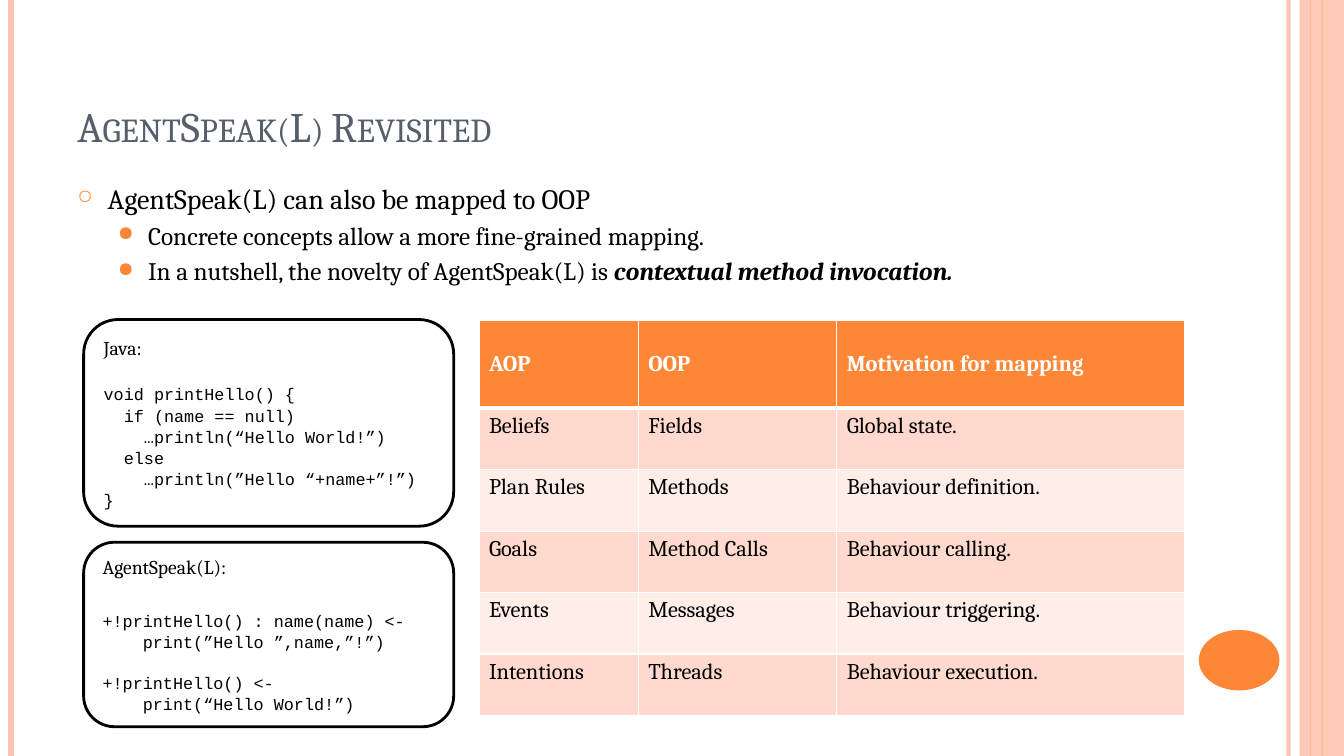
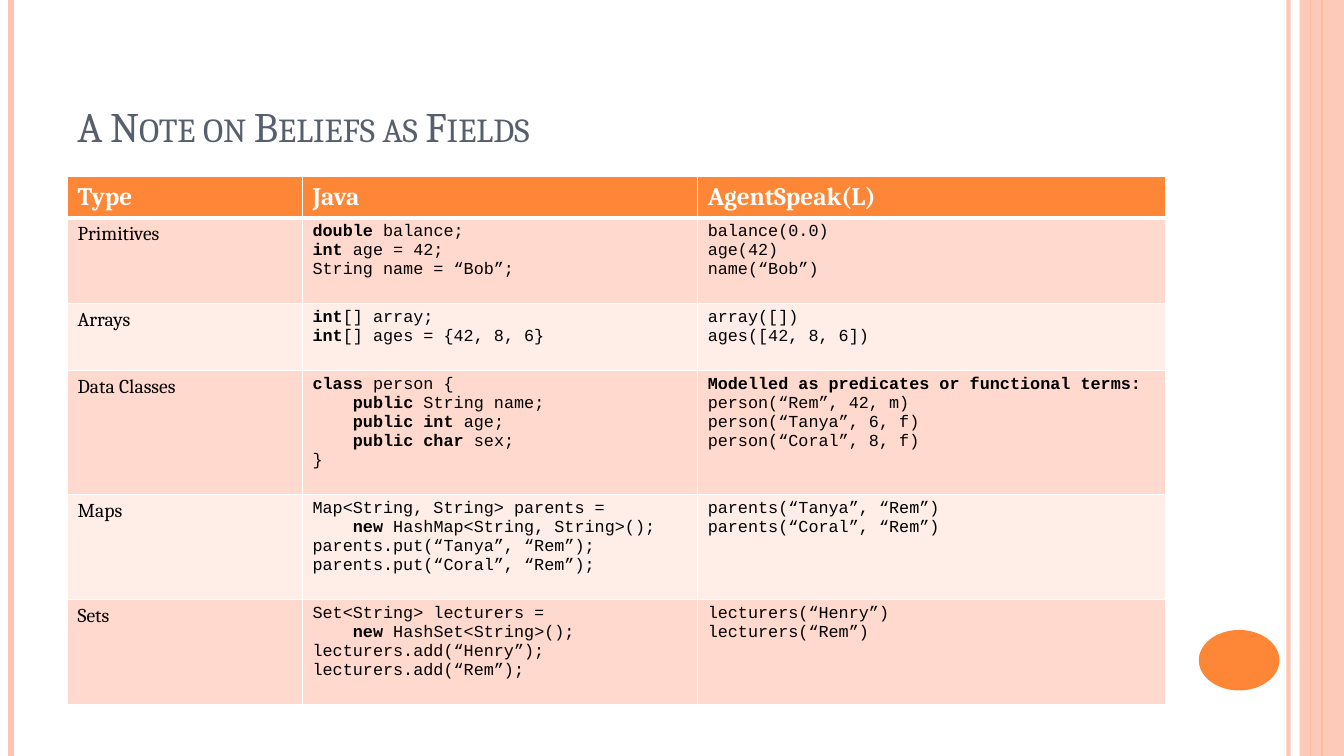
"""Build two slides that map AgentSpeak(L) to object-oriented programming."""
import lxml.etree
import pptx
import pptx.dml.color
import pptx.enum.shapes
import pptx.enum.text
import pptx.oxml.ns
import pptx.util

PX = 9144
WIDTH, HEIGHT = 1333, 750
COLORS = {
    "orange": "FE8637", "peach": "FEC3AE", "slate": "575F6D",
    "black": "000000", "white": "FFFFFF",
    "band_dark": "FFD9CE", "band_light": "FFEDE8",
}
SERIF, MONO = "Cambria", "Courier New"
Pt = pptx.util.Pt
qn = pptx.oxml.ns.qn
SubElement = lxml.etree.SubElement
ANCHOR = pptx.enum.text.MSO_ANCHOR
SHAPE = pptx.enum.shapes.MSO_SHAPE


def rgb(name):
    return pptx.dml.color.RGBColor.from_string(COLORS[name])


def write(frame, text, size, font, color="black", bold=False):
    """Write one paragraph a line; parts between ** are bold."""
    for number, line in enumerate(text.split("\n")):
        paragraph = frame.add_paragraph() if number else frame.paragraphs[0]
        paragraph.alignment = pptx.enum.text.PP_ALIGN.LEFT
        for part_number, part in enumerate(line.split("**")):
            if part:
                run = paragraph.add_run()
                run.text = part
                run.font.size = Pt(size)
                run.font.name = font
                run.font.bold = bold or part_number % 2 == 1
                run.font.color.rgb = rgb(color)


rules = [
    (1278, "peach", 3, 93),
    (11, "peach", 4.5, 100),
    (1311, "orange", 1.5, 100),
    (1300, "orange", 0.75, 100),
]
ornaments = [
    (SHAPE.RECTANGLE, (1289, 0, 44, HEIGHT), "peach", 87),
    (SHAPE.OVAL, (1189, 625, 80, 60), "orange", 100),
]

mapping_rows = [
    ("AOP", "OOP", "Motivation for mapping"),
    ("Beliefs", "Fields", "Global state."),
    ("Plan Rules", "Methods", "Behaviour definition."),
    ("Goals", "Method Calls", "Behaviour calling."),
    ("Events", "Messages", "Behaviour triggering."),
    ("Intentions", "Threads", "Behaviour execution."),
]
field_rows = [
    ("Type", "Java", "AgentSpeak(L)"),
    ("Primitives",
     "**double** balance;\n**int** age = 42;\nString name = “Bob”;",
     "balance(0.0)\nage(42)\nname(“Bob”)"),
    ("Arrays",
     "**int**[] array;\n**int**[] ages = {42, 8, 6}",
     "array([])\nages([42, 8, 6])"),
    ("Data Classes",
     "**class** person {\n    **public** String name;\n"
     "    **public int** age;\n    **public char** sex;\n}",
     "**Modelled as predicates or functional terms:**\n"
     "person(“Rem”, 42, m)\nperson(“Tanya”, 6, f)\nperson(“Coral”, 8, f)"),
    ("Maps",
     "Map<String, String> parents =\n    **new **HashMap<String, String>();\n"
     "parents.put(“Tanya”, “Rem”);\nparents.put(“Coral”, “Rem”);",
     "parents(“Tanya”, “Rem”)\nparents(“Coral”, “Rem”)"),
    ("Sets",
     "Set<String> lecturers =\n    **new **HashSet<String>();\n"
     "lecturers.add(“Henry”);\nlecturers.add(“Rem”);",
     "lecturers(“Henry”)\nlecturers(“Rem”)"),
]
pages = [
    ("AgentSpeak(L) Revisited", (475, 318), (158, 197, 345), (87,) + (61,) * 5,
     16, [(16, SERIF)] * 3, mapping_rows),
    ("A Note on Beliefs as Fields", (67, 175), (233, 392, 464),
     (41, 85, 67, 123, 104, 104),
     18, [(14, SERIF), (12, MONO), (12, MONO)], field_rows),
]

presentation = pptx.Presentation()
presentation.slide_width = WIDTH * PX
presentation.slide_height = HEIGHT * PX

for title, (left, top), widths, heights, header_size, styles, rows in pages:
    slide = presentation.slides.add_slide(presentation.slide_layouts[6])

    decorations = []
    for x, color, weight, opacity in rules:
        rule = slide.shapes.add_connector(
            pptx.enum.shapes.MSO_CONNECTOR.STRAIGHT, x * PX, 0, x * PX, HEIGHT * PX)
        rule.line.color.rgb = rgb(color)
        rule.line.width = Pt(weight)
        SubElement(rule._element.spPr, qn("a:effectLst"))
        decorations.append((rule, opacity))
    for preset, place, color, opacity in ornaments:
        ornament = slide.shapes.add_shape(preset, *[length * PX for length in place])
        ornament.shadow.inherit = False
        ornament.fill.solid()
        ornament.fill.fore_color.rgb = rgb(color)
        ornament.line.fill.background()
        decorations.append((ornament, opacity))
    for decoration, opacity in decorations:
        if opacity < 100:
            for tint in decoration._element.spPr.iter(qn("a:srgbClr")):
                SubElement(tint, qn("a:alpha"), val=str(opacity * 1000))

    heading = slide.shapes.add_textbox(67 * PX, 30 * PX, 1089 * PX, 125 * PX).text_frame
    heading.word_wrap = True
    heading.vertical_anchor = ANCHOR.BOTTOM
    write(heading, title, 30, SERIF, "slate")
    heading.paragraphs[0].runs[0]._r.get_or_add_rPr().set("cap", "small")

    grid = slide.shapes.add_table(
        len(rows), len(widths), left * PX, top * PX,
        sum(widths) * PX, sum(heights) * PX).table
    for column, width in zip(grid.columns, widths):
        column.width = width * PX
    for row_number, (height, texts) in enumerate(zip(heights, rows)):
        grid.rows[row_number].height = height * PX
        is_header = row_number == 0
        band = "orange" if is_header else ("band_light", "band_dark")[row_number % 2]
        for column_number, text in enumerate(texts):
            cell = grid.cell(row_number, column_number)
            edges = {"lnL": 1, "lnR": 1, "lnT": 3 if row_number == 1 else 1,
                     "lnB": 3 if is_header else 1}
            for edge, weight in edges.items():
                border = SubElement(cell._tc.get_or_add_tcPr(), qn("a:" + edge),
                                    w=str(Pt(weight)))
                SubElement(SubElement(border, qn("a:solidFill")),
                           qn("a:srgbClr"), val=COLORS["white"])
            cell.fill.solid()
            cell.fill.fore_color.rgb = rgb(band)
            if is_header:
                cell.vertical_anchor = ANCHOR.MIDDLE
                write(cell.text_frame, text, header_size, SERIF, "white", True)
            else:
                write(cell.text_frame, text, *styles[column_number])

revisited = presentation.slides[0]

points = [
    ("AgentSpeak(L) can also be mapped to OOP", 20, 30, "○", 70, 0),
    ("Concrete concepts allow a more fine-grained mapping.", 18, 70, "●", 80, 3.6),
    ("In a nutshell, the novelty of AgentSpeak(L) is **contextual method invocation.**",
     18, 70, "●", 80, 3.6),
]
body = revisited.shapes.add_textbox(67 * PX, 175 * PX, 1142 * PX, 125 * PX).text_frame
body.word_wrap = True
write(body, "\n".join(point[0] for point in points), 18, SERIF)
for paragraph, (_, size, indent, bullet, scale, gap) in zip(body.paragraphs, points):
    properties = paragraph._p.get_or_add_pPr()
    properties.set("marL", str(indent * PX))
    properties.set("indent", str(-30 * PX))
    SubElement(SubElement(properties, qn("a:buClr")),
               qn("a:srgbClr"), val=COLORS["orange"])
    SubElement(properties, qn("a:buSzPct"), val=str(scale * 1000))
    SubElement(properties, qn("a:buChar"), char=bullet)
    paragraph.space_before = Pt(gap)
    for run in paragraph.runs:
        run.font.size = Pt(size)
body.paragraphs[2].runs[1].font.italic = True

listings = [
    (317, 205, "Java:\nvoid printHello() {\n  if (name == null)\n"
     "    …println(“Hello World!”)\n  else\n    …println(”Hello “+name+”!”)\n}",
     {1: 17}),
    (538, 183, "AgentSpeak(L):\n+!printHello() : name(name) <-\n"
     "    print(”Hello ”,name,”!”)\n+!printHello() <-\n    print(“Hello World!”)",
     {1: 22, 3: 14}),
]
for top, height, code, gaps in listings:
    panel = revisited.shapes.add_shape(
        SHAPE.ROUNDED_RECTANGLE, 83 * PX, top * PX, 367 * PX, height * PX)
    panel.shadow.inherit = False
    panel.fill.solid()
    panel.fill.fore_color.rgb = rgb("white")
    panel.line.color.rgb = rgb("black")
    panel.line.width = Pt(2)
    panel.text_frame.word_wrap = True
    panel.text_frame.vertical_anchor = ANCHOR.MIDDLE
    write(panel.text_frame, code, 12, MONO)
    language, *code_lines = panel.text_frame.paragraphs
    language.runs[0].font.size = Pt(14)
    language.runs[0].font.name = SERIF
    for number, code_line in enumerate(code_lines, 1):
        code_line.line_spacing = 1.05
        code_line.space_before = Pt(gaps.get(number, 0))

presentation.save("out.pptx")
